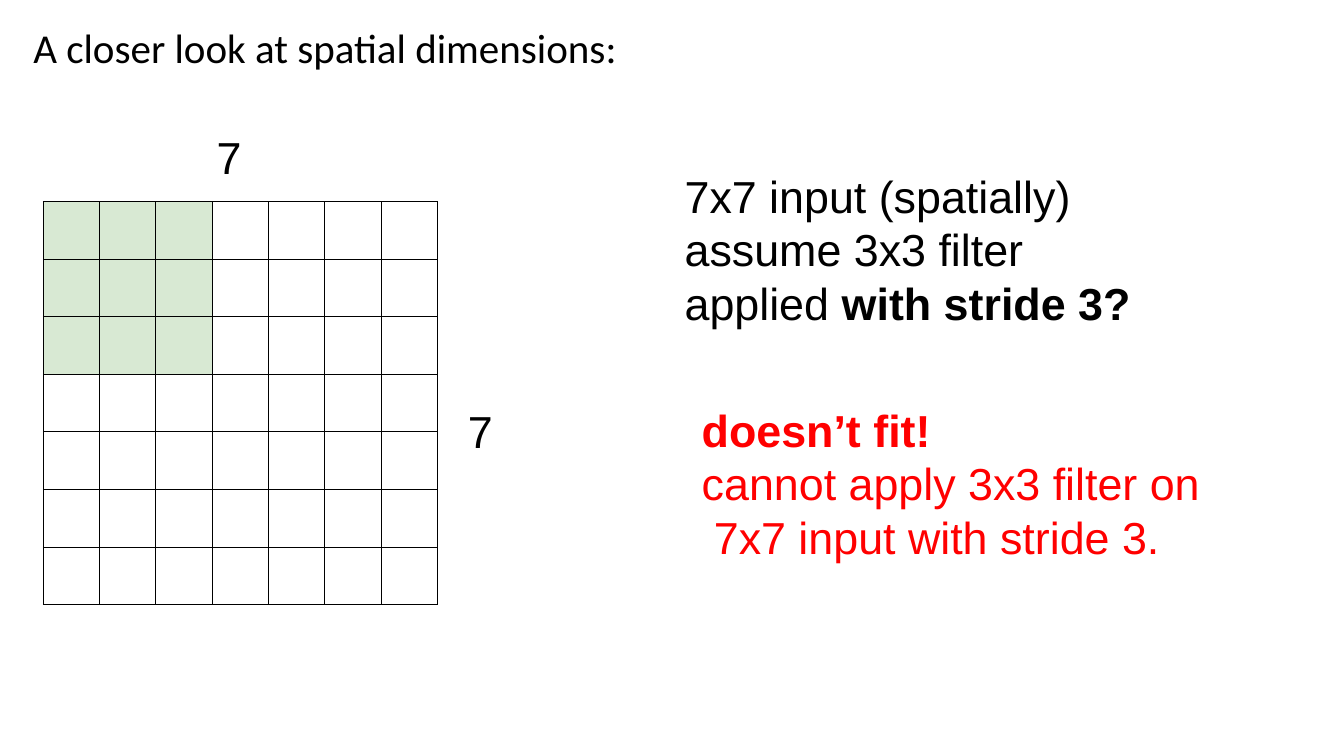
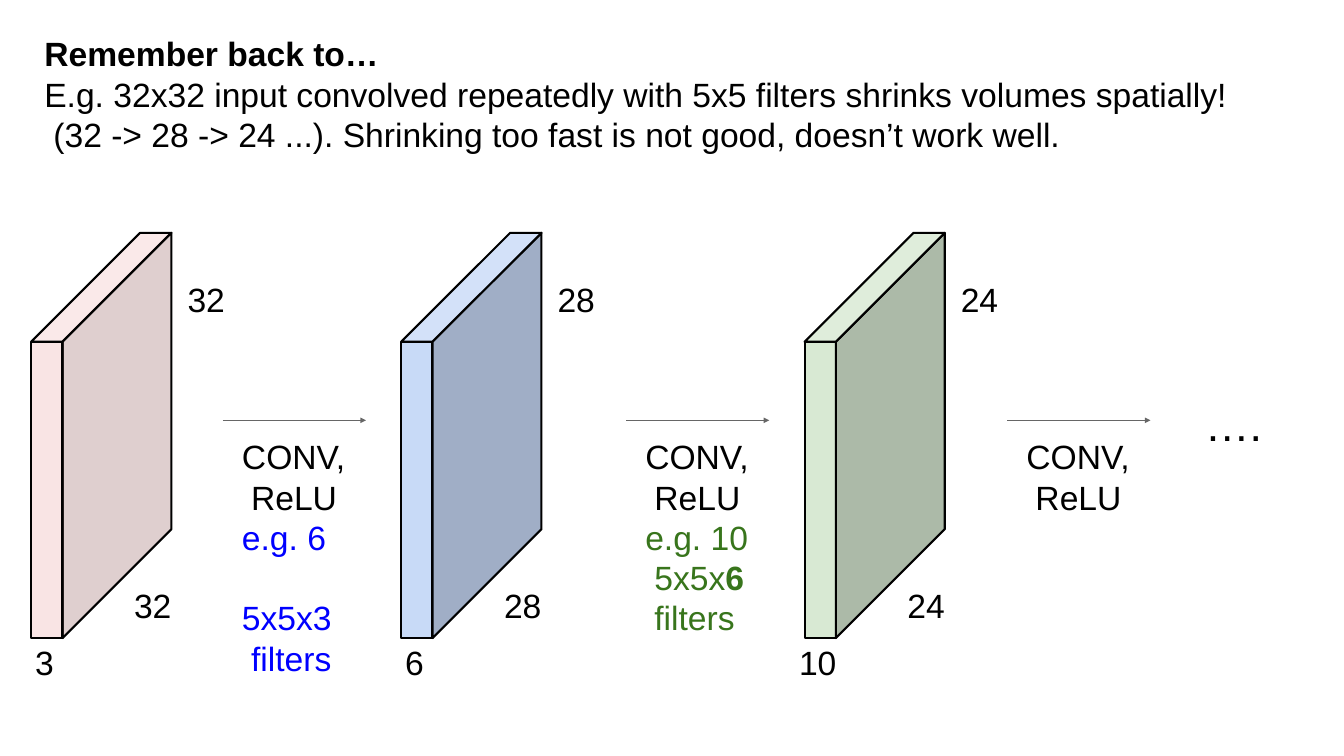
import dataclasses

import lxml.etree
import pptx
import pptx.dml.color
import pptx.enum.shapes
import pptx.enum.text
import pptx.oxml.ns
import pptx.util

RGB = pptx.dml.color.RGBColor
BLACK = RGB(0x00, 0x00, 0x00)
RED = RGB(0xFF, 0x00, 0x00)
BLUE = RGB(0x00, 0x00, 0xFF)
GREEN = RGB(0x38, 0x75, 0x1C)
GRAY = RGB(0x66, 0x66, 0x66)
PALE_GREEN = RGB(0xD8, 0xE9, 0xD3)
PINK_FACES = (RGB(0xF4, 0xCC, 0xCC), RGB(0xC3, 0xA3, 0xA3), RGB(0xF6, 0xD6, 0xD6))
BLUE_FACES = (RGB(0xC8, 0xDA, 0xF7), RGB(0xA0, 0xAE, 0xC6), RGB(0xD3, 0xE1, 0xF9))
GREEN_FACES = (PALE_GREEN, RGB(0xAC, 0xBA, 0xA8), RGB(0xDF, 0xED, 0xDB))

PX = 9144
LEFT = pptx.enum.text.PP_ALIGN.LEFT
CENTER = pptx.enum.text.PP_ALIGN.CENTER


@dataclasses.dataclass
class Line:
    spans: list
    color: RGB = BLACK
    indent: int = 0
    before: float = 0


def px(length):
    return pptx.util.Emu(length * PX)


def add_xml(parent, tag, **attributes):
    return lxml.etree.SubElement(parent, pptx.oxml.ns.qn(tag), attributes)


def add_span(para, text, *, size, color=BLACK, bold=False, font="Arial"):
    span = para.add_run()
    span.text = text
    span.font.size = pptx.util.Pt(size)
    span.font.color.rgb = color
    span.font.bold = bold
    span.font.name = font


class Deck:
    def __init__(self):
        self.deck = pptx.Presentation()
        self.deck.slide_width = px(1333)
        self.deck.slide_height = px(750)
        self.page = None

    def new_page(self, title, left, top, width, height, **style):
        self.page = self.deck.slides.add_slide(self.deck.slide_layouts[5])
        box = self.page.shapes.title
        box.left, box.top, box.width, box.height = map(px, (left, top, width, height))
        self.set_frame(box.text_frame)
        box.text_frame.vertical_anchor = pptx.enum.text.MSO_ANCHOR.MIDDLE
        para = box.text_frame.paragraphs[0]
        para.alignment = LEFT
        add_span(para, title, **style)

    def set_frame(self, frame):
        frame.word_wrap = True
        frame.auto_size = pptx.enum.text.MSO_AUTO_SIZE.NONE
        frame.margin_left, frame.margin_top = px(2), px(4)
        frame.margin_right = frame.margin_bottom = 0

    def text(self, left, top, width, height, lines, size=24, pitch=28.75, align=LEFT):
        box = self.page.shapes.add_textbox(*map(px, (left, top, width, height)))
        frame = box.text_frame
        self.set_frame(frame)
        for index, line in enumerate(lines):
            para = frame.add_paragraph() if index else frame.paragraphs[0]
            para.alignment = align
            para.space_before = pptx.util.Pt(line.before)
            if pitch:
                para.line_spacing = pptx.util.Pt(pitch)
            para._p.get_or_add_pPr().set("marL", str(px(line.indent)))
            for text, bold in line.spans:
                add_span(para, text, size=size, color=line.color, bold=bold)

    def label(self, left, top, text, width=60, size=24, align=LEFT):
        self.text(left, top, width, 56, [Line([(text, False)])], size, None, align)

    def face(self, points, color, opacity):
        builder = self.page.shapes.build_freeform(*points[0], scale=float(PX))
        builder.add_line_segments(points[1:], close=True)
        shape = builder.convert_to_shape()
        shape.shadow.inherit = False
        shape.fill.solid()
        shape.fill.fore_color.rgb = color
        if opacity < 100:
            tint = shape._element.spPr.find(".//" + pptx.oxml.ns.qn("a:srgbClr"))
            add_xml(tint, "a:alpha", val=str(opacity * 1000))
        shape.line.color.rgb = BLACK
        shape.line.width = pptx.util.Pt(1.5)

    def volume(self, left, colors, size, depth, opacity=100):
        top, bottom, thick, slant = 339, 633, 31, 108
        edge, back = left + thick, top - slant
        faces = (
            [(left, top), (edge, top), (edge, bottom), (left, bottom)],
            [(edge, bottom), (edge, top), (edge + slant, back), (edge + slant, bottom - slant)],
            [(edge, top), (left, top), (left + slant, back), (edge + slant, back)],
        )
        for points, color in zip(faces, colors):
            self.face(points, color, opacity)
        self.label(left + 100, 576, size)
        self.label(left + 153, 273, size)
        self.label(left - 14, 633, depth, width=52, align=CENTER)

    def convolution(self, left, filters=()):
        ends = map(px, (left, 417, left + 142, 417))
        arrow = self.page.shapes.add_connector(pptx.enum.shapes.MSO_CONNECTOR.STRAIGHT, *ends)
        arrow.line.color.rgb = GRAY
        arrow.line.width = pptx.util.Pt(0.75)
        add_xml(arrow.line._get_or_add_ln(), "a:tailEnd", type="triangle", w="sm", len="sm")
        add_xml(arrow._element.spPr, "a:effectLst")
        lines = [Line([("CONV,", False)]), Line([("ReLU", False)], indent=9), *filters]
        self.text(left + 17, 429, 125, 42 * len(lines), lines)

    def grid(self, left, top, width, height, count, filled):
        frame = self.page.shapes.add_table(count, count, *map(px, (left, top, width, height)))
        table = frame.table
        table.first_row = table.horz_banding = False
        for row in range(count):
            for column in range(count):
                cell = table.cell(row, column)
                self.border(cell)
                if max(row, column) < filled:
                    cell.fill.solid()
                    cell.fill.fore_color.rgb = PALE_GREEN
                else:
                    cell.fill.background()

    def border(self, cell):
        properties = cell._tc.get_or_add_tcPr()
        for side in ("a:lnL", "a:lnR", "a:lnT", "a:lnB"):
            edge = add_xml(properties, side, w=str(pptx.util.Pt(0.75)))
            add_xml(add_xml(edge, "a:solidFill"), "a:srgbClr", val=str(BLACK))


def stride_page(deck):
    deck.new_page("A closer look at spatial dimensions:", 31, 19, 640, 51, size=29.3, font="Calibri")
    deck.label(213, 125, "7", size=32)
    deck.label(462, 397, "7", size=32)
    deck.grid(43, 200, 391, 400, count=7, filled=3)
    deck.text(677, 164, 480, 164, [
        Line([("7x7 input (spatially)", False)]),
        Line([("assume 3x3 filter", False)]),
        Line([("applied ", False), ("with stride 3?", True)]),
    ], size=32, pitch=38)
    deck.text(694, 395, 530, 163, [
        Line([("doesn’t fit!", True)], RED),
        Line([("cannot apply 3x3 filter on", False)], RED),
        Line([("7x7 input with stride 3.", False)], RED, indent=12),
    ], size=32, pitch=38.5)


def shrinking_page(deck):
    deck.new_page("Remember back to…", 42, 30, 400, 42, size=24, bold=True)
    deck.text(42, 69, 1250, 83, [
        Line([("E.g. 32x32 input convolved repeatedly with 5x5 filters shrinks volumes spatially!", False)]),
        Line([("(32 -> 28 -> 24 ...). Shrinking too fast is not good, doesn’t work well.", False)], indent=9),
    ])
    deck.volume(31, PINK_FACES, "32", "3", opacity=52)
    deck.volume(398, BLUE_FACES, "28", "6")
    deck.volume(798, GREEN_FACES, "24", "10")
    deck.convolution(221, [
        Line([("e.g. 6", False)], BLUE),
        Line([("5x5x3", False)], BLUE, before=28.75),
        Line([("filters", False)], BLUE, indent=9),
    ])
    deck.convolution(621, [
        Line([("e.g. 10", False)], GREEN),
        Line([("5x5x", False), ("6", True)], GREEN, indent=9),
        Line([("filters", False)], GREEN, indent=9),
    ])
    deck.convolution(999)
    deck.label(1193, 390, "….", width=80, size=32)


def main():
    deck = Deck()
    stride_page(deck)
    shrinking_page(deck)
    deck.deck.save("out.pptx")


if __name__ == "__main__":
    main()
